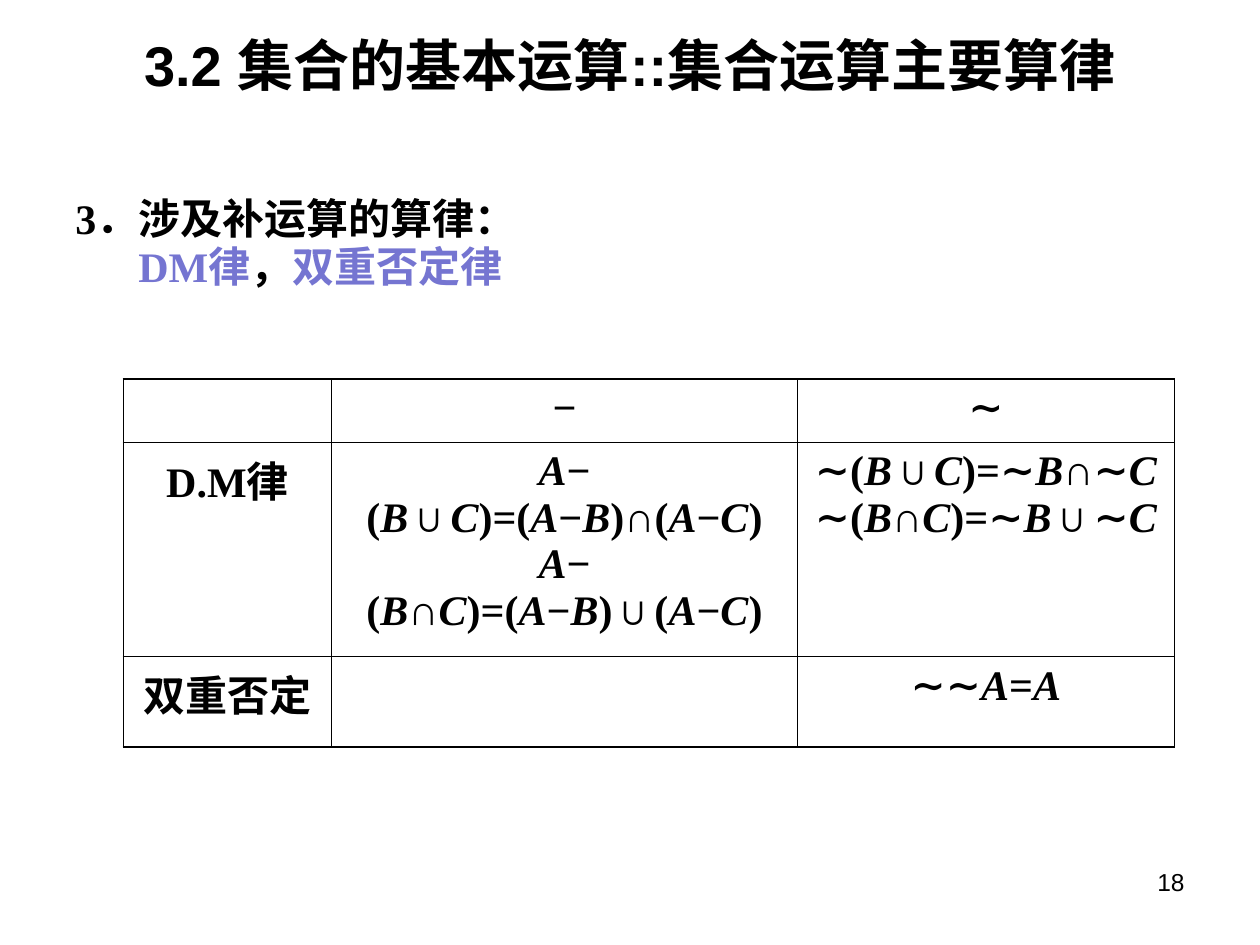
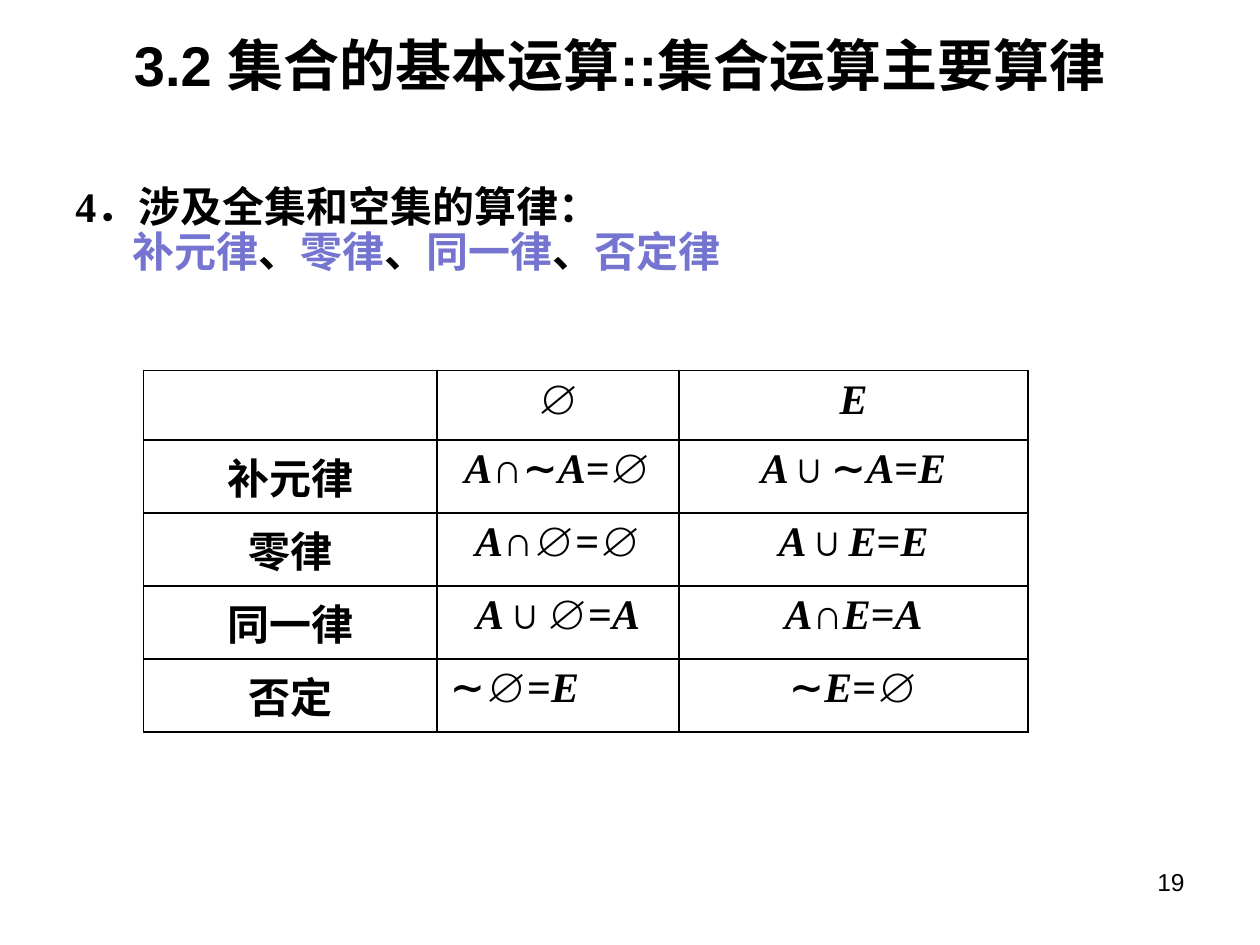
import itertools

import lxml.etree
import pptx
import pptx.dml.color
import pptx.enum.text
import pptx.oxml.ns
import pptx.util

WIDTH, HEIGHT = 10, 7.5
COLORS = {"ink": "000000", "paper": "FFFFFF", "law": "7575D1"}
HEADING_FONT, TEXT_FONT, CHINESE_FONT = "Arial", "Times New Roman", "Noto Sans CJK SC"
TITLE = "3.2 集合的基本运算::集合运算主要算律"
ALIGN = pptx.enum.text.PP_ALIGN
inches = pptx.util.Inches


def color(name):
    return pptx.dml.color.RGBColor.from_string(COLORS[name])


def add_xml(parent, tag, index=None, **attributes):
    element = lxml.etree.Element(pptx.oxml.ns.qn(tag), attributes)
    parent.insert(len(parent) if index is None else index, element)
    return element


def style(para, size, family, bold=True, align=ALIGN.LEFT):
    para.alignment = align
    font = para.font
    font.size, font.name, font.bold = pptx.util.Pt(size), family, bold
    font.color.rgb = color("ink")
    defaults = para._p.pPr.find(pptx.oxml.ns.qn("a:defRPr"))
    add_xml(defaults, "a:ea", typeface=CHINESE_FONT)


def add_spans(para, text, is_marked, mark):
    """Split text into spans and apply mark to the font of the marked ones."""
    for marked, letters in itertools.groupby(text, is_marked):
        span = para.add_run()
        span.text = "".join(letters)
        if marked:
            mark(span.font)


def is_variable(letter):
    return letter in "ABCE"


def is_law_name(letter):
    return letter not in "，、"


def make_italic(font):
    font.italic = True


def make_law_color(font):
    font.color.rgb = color("law")


def add_box(page, left, top, width, height):
    box = page.shapes.add_textbox(*map(inches, (left, top, width, height)))
    box.text_frame.word_wrap = True
    return box.text_frame


def add_title(page, width):
    frame = add_box(page, 0.78, 0.28, width, 0.46)
    frame.vertical_anchor = pptx.enum.text.MSO_ANCHOR.MIDDLE
    para = frame.paragraphs[0]
    para.text = TITLE
    style(para, 32, HEADING_FONT, align=ALIGN.CENTER)


def add_page_number(page, number):
    para = add_box(page, 7.17, 6.83, 2.33, 0.52).paragraphs[0]
    para.text = str(number)
    style(para, 14, HEADING_FONT, bold=False, align=ALIGN.RIGHT)


def add_topic(page, top, heading, laws, indent, spacing):
    frame = add_box(page, WIDTH * 0.05, top, WIDTH * 0.9, 1.1)
    first, second = frame.paragraphs[0], frame.add_paragraph()
    first.text = heading
    add_spans(second, laws, is_law_name, make_law_color)
    for para in (first, second):
        style(para, 24, TEXT_FONT)
        para.line_spacing = spacing
    second._p.pPr.set("marL", str(inches(indent)))


def add_borders(cell):
    properties = cell._tc.get_or_add_tcPr()
    for index, side in enumerate("LRTB"):
        line = add_xml(properties, f"a:ln{side}", index, w=str(pptx.util.Pt(1)))
        fill = add_xml(line, "a:solidFill")
        add_xml(fill, "a:srgbClr", val=COLORS["ink"])


def fill_cell(cell, text, is_label, align):
    cell.fill.solid()
    cell.fill.fore_color.rgb = color("paper")
    add_borders(cell)
    frame = cell.text_frame
    for index, line in enumerate(text.split("\n") if text else []):
        para = frame.add_paragraph() if index else frame.paragraphs[0]
        if is_label:
            para.text = line
        else:
            add_spans(para, line, is_variable, make_italic)
        style(para, 24, TEXT_FONT, align=align)


def add_law_table(page, left, top, widths, heights, rows, left_aligned=()):
    """Draw the laws; left_aligned lists the (row, column) cells not centred."""
    frame = page.shapes.add_table(len(rows), len(widths), inches(left), inches(top),
                                  inches(sum(widths)), inches(sum(heights)))
    table = frame.table
    table.first_row = table.horz_banding = False
    for column, width in zip(table.columns, widths):
        column.width = inches(width)
    for row, height in zip(table.rows, heights):
        row.height = inches(height)
    for r, texts in enumerate(rows):
        for c, text in enumerate(texts):
            align = ALIGN.LEFT if (r, c) in left_aligned else ALIGN.CENTER
            fill_cell(table.cell(r, c), text, c == 0, align)


def add_page(deck, number, title_width):
    page = deck.slides.add_slide(deck.slide_layouts[6])
    add_page_number(page, number)
    add_title(page, title_width)
    return page


def main():
    deck = pptx.Presentation()
    deck.slide_width, deck.slide_height = inches(WIDTH), inches(HEIGHT)

    complement = add_page(deck, 18, 8.44)
    add_topic(complement, 1.51, "3．涉及补运算的算律：", "DM律，双重否定律", 0.5, 0.95)
    add_law_table(complement, 0.98, 3.01, (1.65, 3.7, 2.99), (0.47, 1.58, 0.72), [
        ("", "−", "∼"),
        ("D.M律", "A−(B∪C)=(A−B)∩(A−C)\nA−(B∩C)=(A−B)∪(A−C)",
         "∼(B∪C)=∼B∩∼C\n∼(B∩C)=∼B∪∼C"),
        ("双重否定", "", "∼∼A=A"),
    ])

    universe = add_page(deck, 19, 8.28)
    add_topic(universe, 1.43, "4．涉及全集和空集的算律：", "补元律、零律、同一律、否定律", 0.45, 0.9)
    add_law_table(universe, 1.14, 2.94, (2.33, 1.92, 2.77), [0.55] + [0.58] * 4, [
        ("", "∅", "E"),
        ("补元律", "A∩∼A=∅", "A∪∼A=E"),
        ("零律", "A∩∅=∅", "A∪E=E"),
        ("同一律", "A∪∅=A", "A∩E=A"),
        ("否定", "∼∅=E", "∼E=∅"),
    ], left_aligned={(4, 1)})

    deck.save("out.pptx")


if __name__ == "__main__":
    main()
